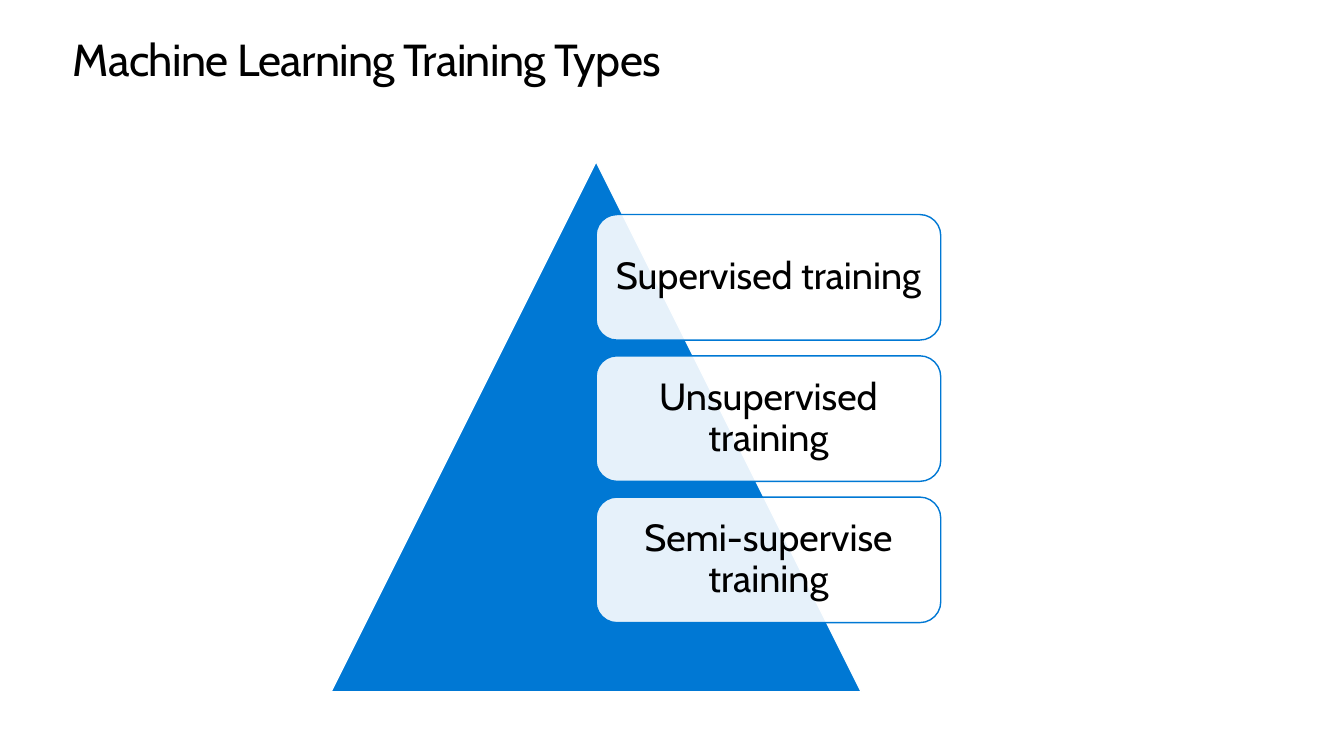
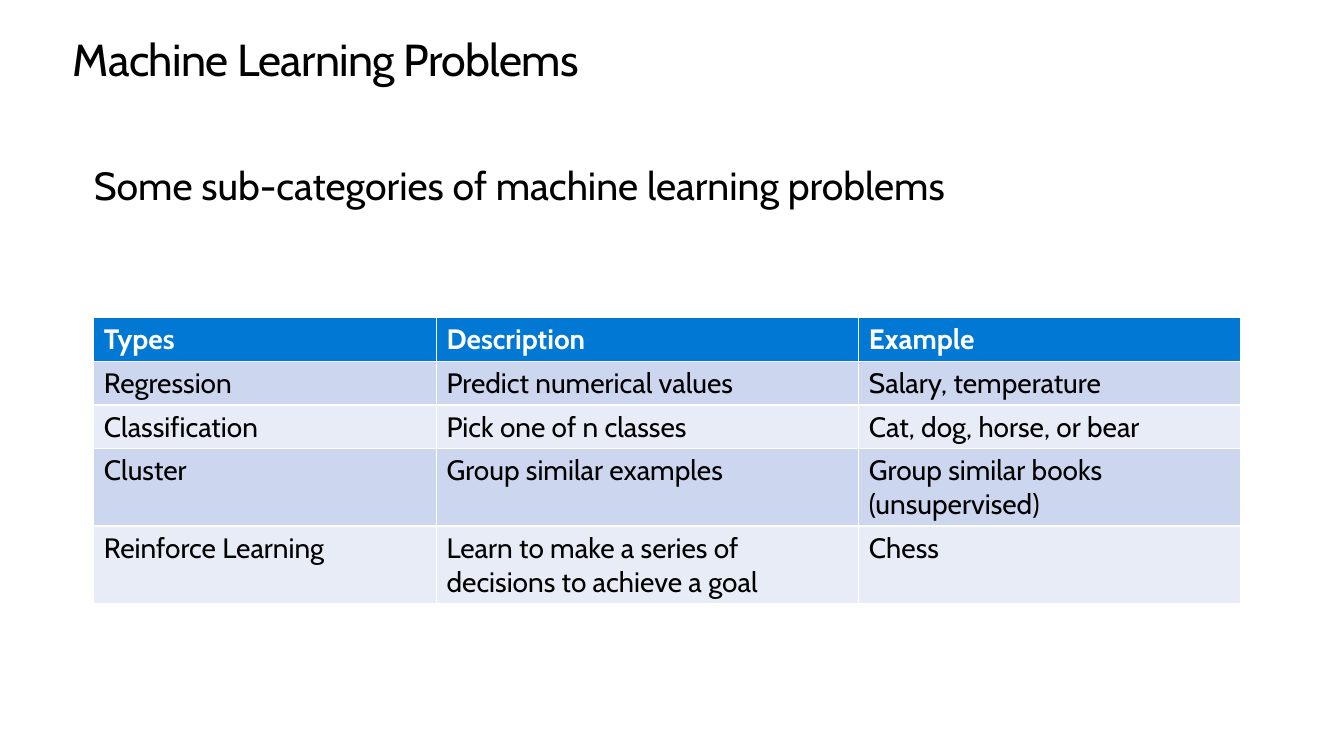
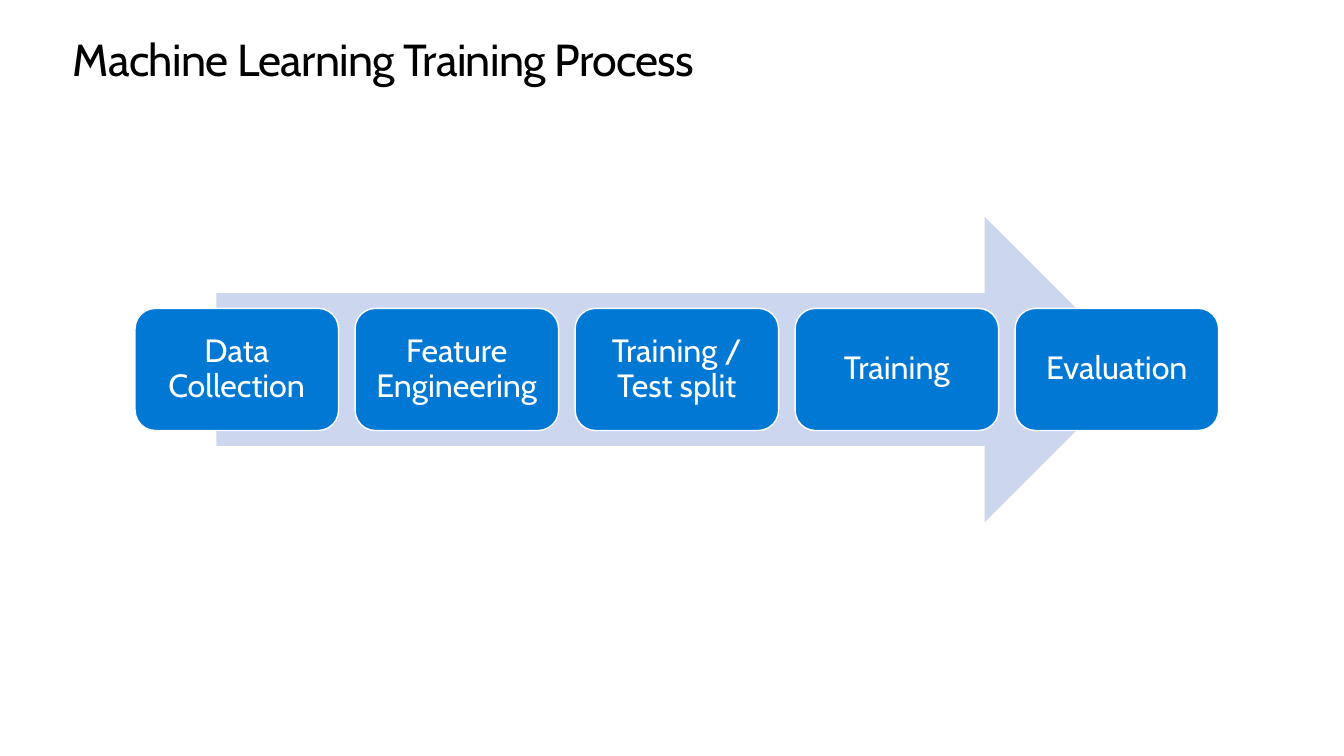
from pptx import Presentation
from pptx.dml.color import RGBColor
from pptx.enum.shapes import MSO_SHAPE as Preset
from pptx.enum.text import MSO_ANCHOR as Anchor, MSO_AUTO_SIZE as AutoSize, PP_ALIGN as Align
from pptx.oxml.ns import qn
from pptx.util import Pt
from lxml.etree import SubElement

FONT = "Cabin"
COLORS = {
    "text": "000000",
    "white": "FFFFFF",
    "accent": "0078D4",
    "band": "CCD6EF",
    "light_band": "E7ECF7",
}


def rgb(name):
    """Return the named colour."""
    return RGBColor.from_string(COLORS[name])


def style_font(paragraph, size, color="text", bold=False):
    """Set the font of a whole paragraph."""
    font = paragraph.font
    font.name, font.size, font.bold = FONT, Pt(size), bold
    font.color.rgb = rgb(color)


def set_margins(frame, margin):
    """Give a text frame the same margin on all sides."""
    frame.margin_left = frame.margin_right = Pt(margin)
    frame.margin_top = frame.margin_bottom = Pt(margin)


def add_titled_slide(presentation, title):
    """Add a slide with the shared title style."""
    slide = presentation.slides.add_slide(presentation.slide_layouts[5])
    shape = slide.shapes.title
    shape.left, shape.top, shape.width, shape.height = Pt(52), Pt(25.2), Pt(857), Pt(36.2)
    frame = shape.text_frame
    frame.text = title
    frame.word_wrap = True
    frame.auto_size = AutoSize.SHAPE_TO_FIT_TEXT
    frame.vertical_anchor = Anchor.TOP
    set_margins(frame, 0)
    paragraph = frame.paragraphs[0]
    paragraph.alignment = Align.LEFT
    paragraph.line_spacing = Pt(36.2)
    style_font(paragraph, 32)
    paragraph._p.pPr.find(qn("a:defRPr")).set("spc", "-50")
    return slide


def add_filled_shape(slide, preset, box, fill, line=None, opacity=100):
    """Add a preset shape with a solid fill and an optional outline."""
    shape = slide.shapes.add_shape(preset, *map(Pt, box))
    shape.shadow.inherit = False
    shape.fill.solid()
    shape.fill.fore_color.rgb = rgb(fill)
    if opacity < 100:
        color = shape.fill._xPr.find(qn("a:solidFill"))[0]
        SubElement(color, qn("a:alpha")).set("val", str(opacity * 1000))
    if line:
        shape.line.color.rgb = rgb(line)
        shape.line.width = Pt(1)
    else:
        shape.line.fill.background()
    return shape


def add_card(slide, box, text, size, margin, color, fill, line, opacity=100):
    """Add a rounded card with centred text."""
    card = add_filled_shape(slide, Preset.ROUNDED_RECTANGLE, box, fill, line, opacity)
    frame = card.text_frame
    frame.text = text
    frame.word_wrap = True
    frame.vertical_anchor = Anchor.MIDDLE
    set_margins(frame, margin)
    paragraph = frame.paragraphs[0]
    paragraph.alignment = Align.CENTER
    paragraph.line_spacing = 0.9
    style_font(paragraph, size, color)


def add_pyramid(slide, box, labels):
    """Draw a triangle with a column of cards on its right half."""
    left, top, width, height = box
    add_filled_shape(slide, Preset.ISOSCELES_TRIANGLE, box, "accent", "white")
    card_height = 89.7
    pitch = card_height * 9 / 8
    for index, label in enumerate(labels):
        card_box = (left + width / 2, top + height / 10 + index * pitch,
                    width * 0.65, card_height)
        add_card(slide, card_box, label, 27, 8.1, "text", "white", "accent", 90)


def add_process(slide, box, steps):
    """Draw a wide arrow with evenly spaced step cards across it."""
    left, top, width, height = box
    arrow_box = (left + width * 0.075, top, width * 0.85, height)
    add_filled_shape(slide, Preset.RIGHT_ARROW, arrow_box, "band")
    gap = 11.8
    step_width = (width - gap * (len(steps) - 1)) / len(steps)
    for index, step in enumerate(steps):
        step_box = (left + index * (step_width + gap), top + height * 0.3,
                    step_width, height * 0.4)
        add_card(slide, step_box, step, 23, 6.9, "white", "accent", "white")


def add_lead(slide, box, text):
    """Add the introductory line."""
    frame = slide.shapes.add_textbox(*map(Pt, box)).text_frame
    frame.text = text
    frame.word_wrap = True
    set_margins(frame, 0)
    style_font(frame.paragraphs[0], 28)


def add_banded_table(slide, box, column_widths, rows):
    """Add a table with a header row and alternating bands."""
    shape = slide.shapes.add_table(len(rows), len(column_widths), *map(Pt, box))
    table = shape.table
    for column, width in zip(table.columns, column_widths):
        column.width = Pt(width)
    for row_index, values in enumerate(rows):
        header = row_index == 0
        fill = "accent" if header else ("light_band", "band")[row_index % 2]
        for column_index, value in enumerate(values):
            cell = table.cell(row_index, column_index)
            cell.text = value
            cell.fill.solid()
            cell.fill.fore_color.rgb = rgb(fill)
            style_font(cell.text_frame.paragraphs[0], 20,
                       "white" if header else "text", header)


def main():
    """Build the three slides and save them."""
    presentation = Presentation()
    presentation.slide_width, presentation.slide_height = Pt(960), Pt(540)

    types_slide = add_titled_slide(presentation, "Machine Learning Training Types")
    add_pyramid(types_slide, (236.4, 115.4, 378.8, 378.8),
                ["Supervised training", "Unsupervised training", "Semi-supervise training"])

    problems_slide = add_titled_slide(presentation, "Machine Learning Problems")
    add_lead(problems_slide, (67, 115.2, 774, 58.3),
             "Some sub-categories of machine learning problems")
    add_banded_table(problems_slide, (67, 226.8, 819.4, 147.5), (244.8, 301.7, 272.9), [
        ("Types", "Description", "Example"),
        ("Regression", "Predict numerical values", "Salary, temperature"),
        ("Classification", "Pick one of n classes", "Cat, dog, horse, or bear"),
        ("Cluster", "Group similar examples", "Group similar books (unsupervised)"),
        ("Reinforce Learning", "Learn to make a series of decisions to achieve a goal", "Chess"),
    ])

    process_slide = add_titled_slide(presentation, "Machine Learning Training Process")
    add_process(process_slide, (96.5, 154.8, 774, 218.2),
                ["Data Collection", "Feature Engineering", "Training / Test split",
                 "Training", "Evaluation"])

    presentation.save("out.pptx")


if __name__ == "__main__":
    main()
